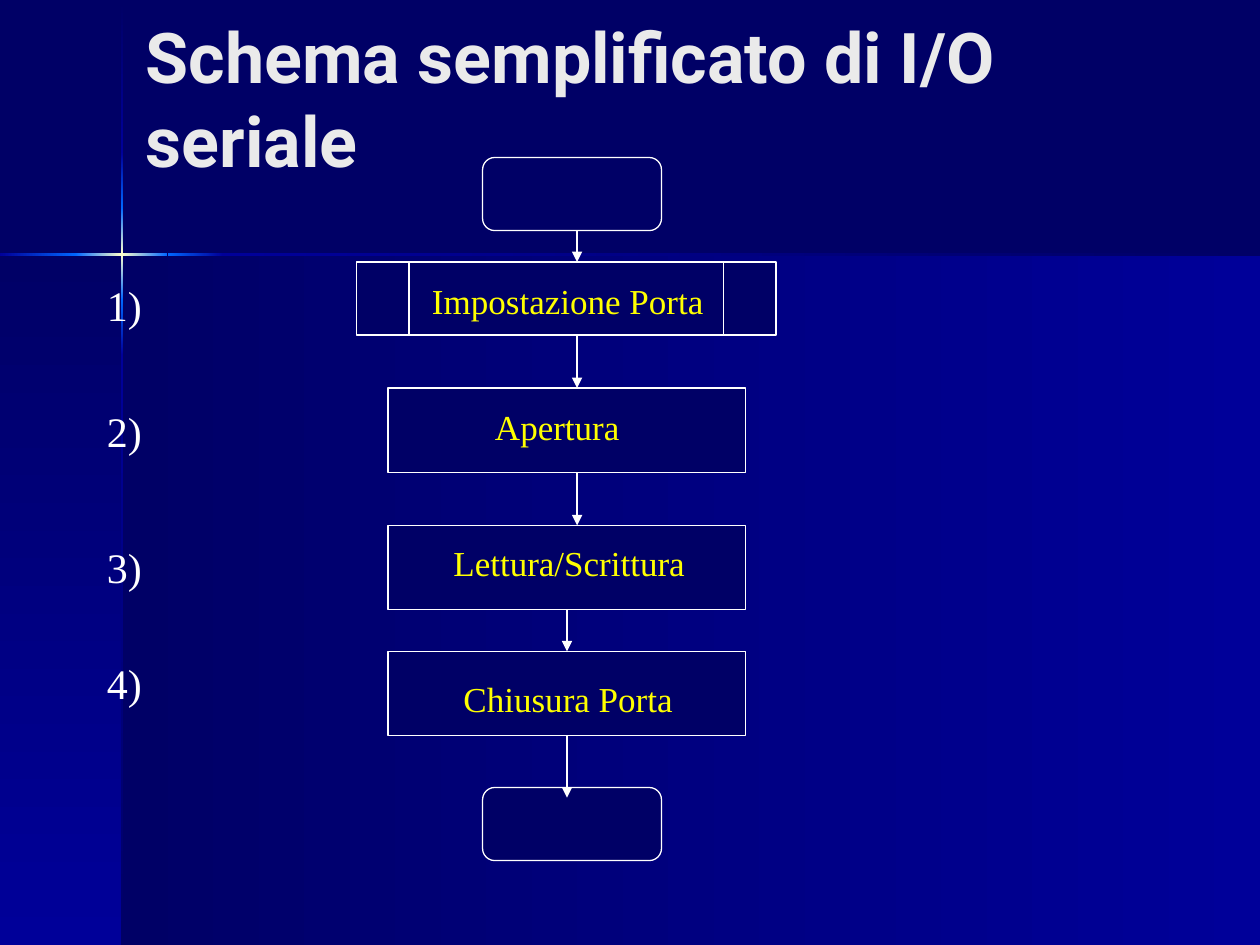
from copy import deepcopy

from lxml import etree
from pptx import Presentation
from pptx import util as u
from pptx.dml.color import RGBColor
from pptx.enum import shapes, text
from pptx.oxml.ns import qn

COLORS = {
    "navy": "000066",
    "blue": "000099",
    "bright": "0066FF",
    "glow": "FFFFCC",
    "white": "FFFFFF",
    "title": "EAEAEA",
    "label": "FFFF00",
}
SERIF = "Times New Roman"
BACKDROP = [
    ((0.97, 2.02, 9.03, 5.48), ("navy", "blue"), 0),
    ((0, 2.02, 0.97, 5.48), ("navy", "blue"), 270),
    ((0.96, 0.01, 0.02, 1.2), ("navy", "blue"), 270),
    ((0.96, 2.82, 0.02, 4.68), ("blue", "navy"), 270),
    ((1.77, 2.01, 8.23, 0.02), ("blue", "navy"), 0),
    ((0.96, 2.38, 0.02, 0.44), ("bright", "blue"), 270),
    ((0.96, 1.21, 0.02, 0.44), ("blue", "bright"), 270),
    ((0.96, 1.65, 0.02, 0.73), ("bright", "glow", "bright"), 270),
    ((0, 2.01, 0.61, 0.02), ("blue", "bright"), 0),
    ((1.33, 2.01, 0.44, 0.02), ("bright", "blue"), 0),
    ((0.6, 2.01, 0.73, 0.02), ("bright", "glow", "bright"), 0),
]
STEP_TOPS = [3.08, 4.17, 5.17]
LABELS = [
    ("Impostazione Porta", 3.33, 2.17, 2.58),
    ("Apertura", 3.83, 3.17, 1.25),
    ("Lettura/Scrittura", 3.5, 4.25, 2.08),
    ("Chiusura Porta", 3.58, 5.33, 2.08),
]
NUMBER_TOPS = [2.17, 3.17, 4.25, 5.17]


def rgb(name):
    return RGBColor.from_string(COLORS[name])


def add_band(slide, box, stops, angle):
    band = slide.shapes.add_shape(shapes.MSO_SHAPE.RECTANGLE, *map(u.Inches, box))
    band.shadow.inherit = False
    band.line.fill.background()
    band.fill.gradient()
    band.fill.gradient_angle = angle
    stop_list = band.element.xpath(".//a:gsLst")[0]
    for _ in stops[2:]:
        stop_list.insert(1, deepcopy(stop_list[0]))
    for i, (stop, color) in enumerate(zip(band.fill.gradient_stops, stops)):
        stop.color.rgb = rgb(color)
        stop.position = i / (len(stops) - 1)


def add_block(slide, kind, left, top, width, height):
    block = slide.shapes.add_shape(kind, *map(u.Inches, (left, top, width, height)))
    block.shadow.inherit = False
    block.fill.solid()
    block.fill.fore_color.rgb = rgb("navy")
    block.line.color.rgb = rgb("white")
    block.line.width = u.Pt(0.75)
    return block


def add_text(slide, wording, box, size, color, font=SERIF, bold=False,
             anchor=text.MSO_ANCHOR.TOP):
    frame = slide.shapes.add_textbox(*map(u.Inches, box)).text_frame
    frame.word_wrap = True
    frame.vertical_anchor = anchor
    run = frame.paragraphs[0].add_run()
    run.text = wording
    run.font.name = font
    run.font.size = u.Pt(size)
    run.font.bold = bold
    run.font.color.rgb = rgb(color)


def add_arrow(slide, x, top, bottom, source=None, target=None):
    arrow = slide.shapes.add_connector(
        shapes.MSO_CONNECTOR.STRAIGHT, *map(u.Inches, (x, top, x, bottom)))
    if source is not None:
        arrow.begin_connect(source, 2)
    if target is not None:
        arrow.end_connect(target, 0)
    arrow.line.color.rgb = rgb("white")
    arrow.line.width = u.Pt(0.75)
    etree.SubElement(arrow.line._get_or_add_ln(), qn("a:tailEnd"), type="triangle")
    etree.SubElement(arrow.element.spPr, qn("a:effectLst"))


def main():
    deck = Presentation()
    deck.slide_width, deck.slide_height = u.Inches(10), u.Inches(7.5)
    slide = deck.slides.add_slide(deck.slide_layouts[6])
    slide.background.fill.solid()
    slide.background.fill.fore_color.rgb = rgb("navy")

    for box, stops, angle in BACKDROP:
        add_band(slide, box, stops, angle)

    steps = [add_block(slide, shapes.MSO_SHAPE.RECTANGLE, 3.08, top, 2.84, 0.67)
             for top in STEP_TOPS]
    add_text(slide, "Schema semplificato di I/O seriale", (1.06, 0.36, 8.5, 0.83),
             40, "title", "Roboto", True, text.MSO_ANCHOR.MIDDLE)
    add_block(slide, shapes.MSO_SHAPE.FLOWCHART_PREDEFINED_PROCESS,
              2.83, 2.08, 3.33, 0.58)
    for wording, left, top, width in LABELS:
        add_text(slide, wording, (left, top, width, 0.44), 20, "label")
    for top in (1.25, 6.25):
        add_block(slide, shapes.MSO_SHAPE.ROUNDED_RECTANGLE, 3.83, top, 1.42, 0.58)

    for top, bottom in ((1.83, 2.08), (2.67, 3.08), (3.75, 4.17)):
        add_arrow(slide, 4.58, top, bottom)
    add_arrow(slide, 4.5, 4.84, 5.17, steps[1], steps[2])
    add_arrow(slide, 4.5, 5.84, 6.33, steps[2])

    for number, top in enumerate(NUMBER_TOPS, 1):
        add_text(slide, f"{number})", (0.75, top, 0.83, 0.5), 24, "white")

    deck.save("out.pptx")


if __name__ == "__main__":
    main()
